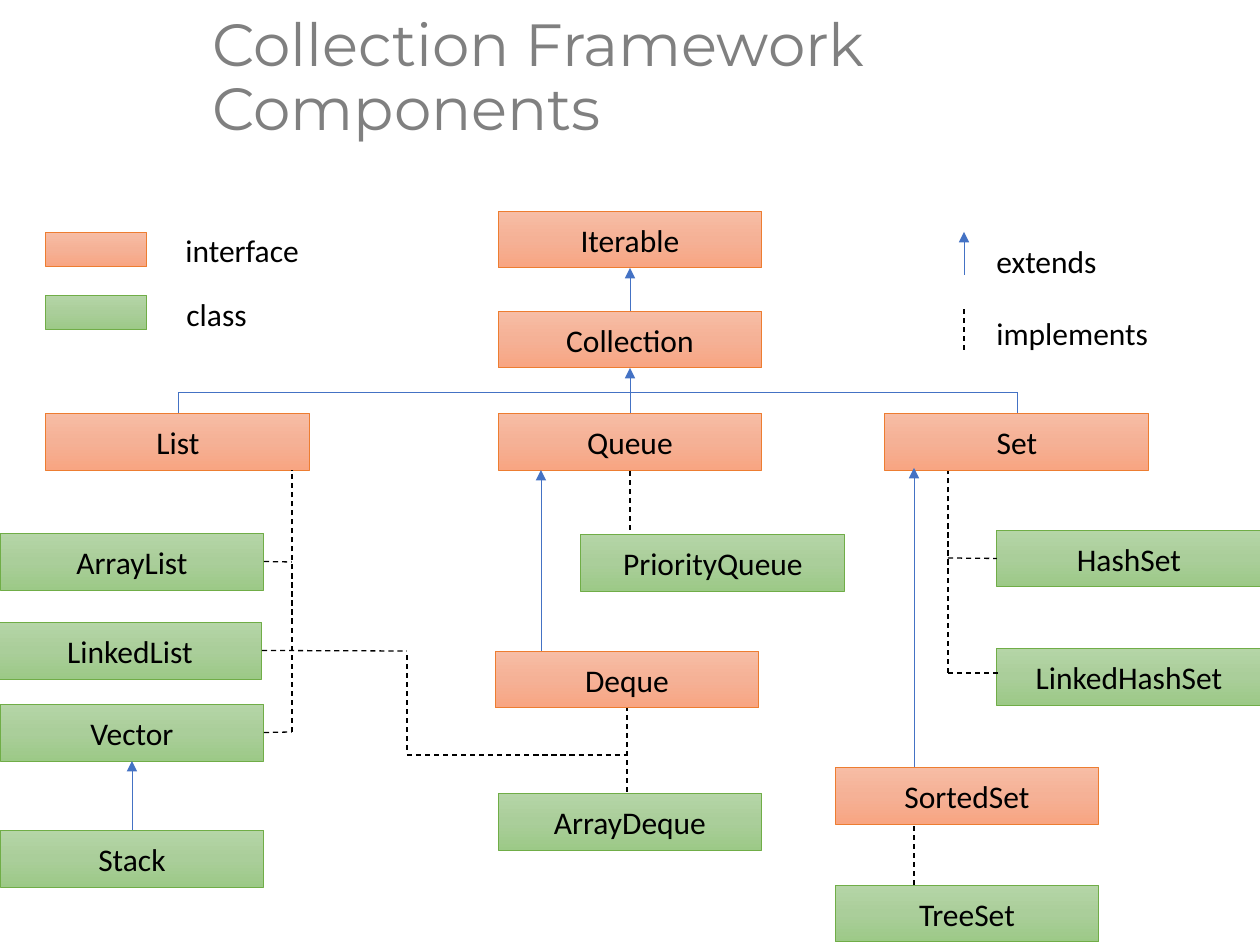
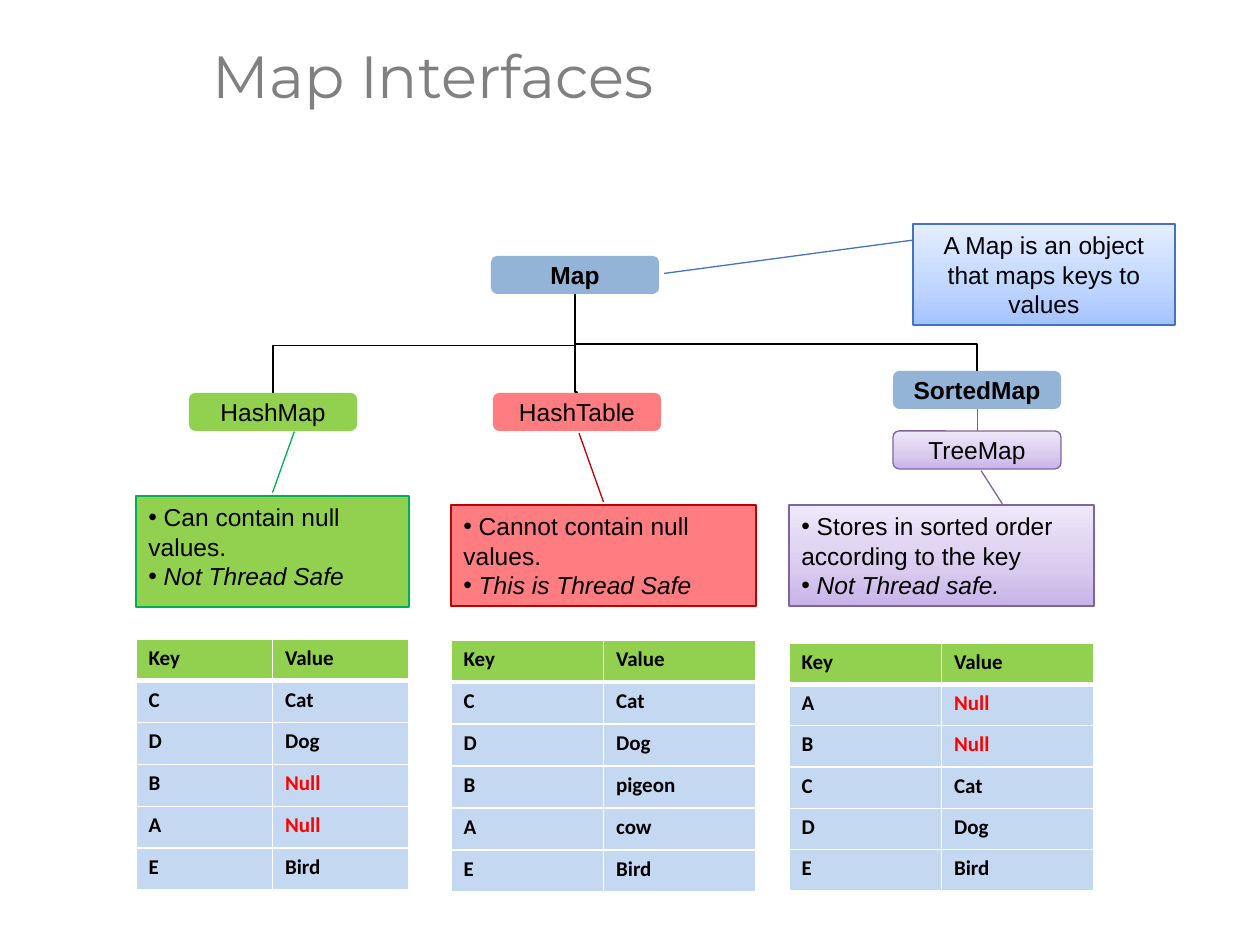
from copy import deepcopy

from lxml import etree
from pptx import Presentation
from pptx.dml.color import RGBColor
from pptx.enum.dml import MSO_LINE
from pptx.enum.shapes import MSO_CONNECTOR, MSO_SHAPE
from pptx.enum.text import MSO_ANCHOR, PP_ALIGN
from pptx.oxml.ns import qn
from pptx.util import Emu, Pt

EMU_PER_PX = 914400 / 126
SLIDE_SIZE = (1260, 945)

RECTANGLE = MSO_SHAPE.RECTANGLE
ROUNDED = MSO_SHAPE.ROUNDED_RECTANGLE
CALLOUT = MSO_SHAPE.LINE_CALLOUT_1
STRAIGHT, ELBOW = MSO_CONNECTOR.STRAIGHT, MSO_CONNECTOR.ELBOW
LEFT, CENTER = PP_ALIGN.LEFT, PP_ALIGN.CENTER
TOP_ANCHOR, MIDDLE = MSO_ANCHOR.TOP, MSO_ANCHOR.MIDDLE
DASH = MSO_LINE.DASH
TOP_SIDE, LEFT_SIDE, BOTTOM_SIDE, RIGHT_SIDE = range(4)

BLACK = RGBColor(0x00, 0x00, 0x00)
WHITE = RGBColor(0xFF, 0xFF, 0xFF)
RED = RGBColor(0xFF, 0x00, 0x00)
TITLE_GRAY = RGBColor(0x80, 0x80, 0x80)
ARROW_BLUE = RGBColor(0x44, 0x72, 0xC4)
ORANGE = RGBColor(0xED, 0x7D, 0x31)
GREEN = RGBColor(0x70, 0xAD, 0x47)
PURPLE = RGBColor(0x80, 0x64, 0xA2)
MAP_BLUE = RGBColor(0x93, 0xB3, 0xD7)
LIME = RGBColor(0x92, 0xD0, 0x50)
LIME_EDGE = RGBColor(0x00, 0xB0, 0x50)
CORAL = RGBColor(0xFF, 0x7C, 0x80)
CORAL_EDGE = RGBColor(0xC0, 0x00, 0x00)
CELL_BLUE = RGBColor(0xC5, 0xD8, 0xF1)


def gradient(angle, middle, *colors):
    return angle, [(position, RGBColor.from_string(color))
                   for position, color in zip((0, middle, 1), colors)]


ORANGE_FADE = gradient(270, 0.5, "F7BDA5", "F5B196", "F8A582")
GREEN_FADE = gradient(270, 0.5, "B5D5A7", "AACE9A", "9CC987")
PURPLE_FADE = gradient(90, 0.35, "C8B3E9", "D9CAEE", "EFE8FA")
BLUE_FADE = gradient(90, 0.35, "A3C2FF", "BDD5FF", "E5EEFF")
INTERFACE = (ORANGE_FADE, ORANGE, 0.5)
CLASS = (GREEN_FADE, GREEN, 0.5)


def px(value):
    return Emu(round(value * EMU_PER_PX))


def side_point(shape, side):
    across, down = ((0.5, 0), (0, 0.5), (0.5, 1), (1, 0.5))[side]
    return (Emu(round(shape.left + across * shape.width)),
            Emu(round(shape.top + down * shape.height)))


class Deck:
    def __init__(self):
        self.presentation = Presentation()
        self.presentation.slide_width = px(SLIDE_SIZE[0])
        self.presentation.slide_height = px(SLIDE_SIZE[1])
        self.slide = None

    def new_slide(self, title):
        layout = self.presentation.slide_layouts[6]
        self.slide = self.presentation.slides.add_slide(layout)
        paragraph = self.text(200, 1, 1060, 156, title, 34, "Montserrat", TITLE_GRAY)
        paragraph.line_spacing = 0.9

    def run(self, paragraph, text, size, font, color=BLACK, bold=False, italic=False):
        run = paragraph.add_run()
        run.text = text
        run.font.size = Pt(size)
        run.font.name = font
        run.font.color.rgb = color
        run.font.bold = bold
        run.font.italic = italic

    def text(self, x, y, width, height, text, size=18, font="Calibri", color=BLACK):
        shape = self.slide.shapes.add_textbox(px(x), px(y), px(width), px(height))
        frame = shape.text_frame
        frame.word_wrap = True
        frame.vertical_anchor = MIDDLE
        self.run(frame.paragraphs[0], text, size, font, color)
        return frame.paragraphs[0]

    def paint(self, shape, fill):
        if isinstance(fill, RGBColor):
            shape.fill.solid()
            shape.fill.fore_color.rgb = fill
            return
        angle, stops = fill
        shape.fill.gradient()
        shape.fill.gradient_angle = angle
        stop_list = shape._element.spPr.find(".//" + qn("a:gsLst"))
        stop_list.insert(1, deepcopy(stop_list[0]))
        for stop, (position, color) in zip(shape.fill.gradient_stops, stops):
            stop.position = position
            stop.color.rgb = color

    def shape(self, kind, x, y, width, height, style):
        fill, line_color, line_width = style
        shape = self.slide.shapes.add_shape(kind, px(x), px(y), px(width), px(height))
        shape.shadow.inherit = False
        self.paint(shape, fill)
        if line_color is None:
            shape.line.fill.background()
        else:
            shape.line.color.rgb = line_color
            shape.line.width = Pt(line_width)
        shape.text_frame.word_wrap = True
        return shape

    def label(self, shape, text, size, font, bold=False, anchor=MIDDLE):
        shape.text_frame.vertical_anchor = anchor
        paragraph = shape.text_frame.paragraphs[0]
        paragraph.alignment = CENTER
        self.run(paragraph, text, size, font, bold=bold)
        return shape

    def type_box(self, name, x, y, style):
        return self.label(self.shape(RECTANGLE, x, y, 264, 57, style), name, 18, "Calibri")

    def map_box(self, name, x, y, fill, line_color=None, bold=False):
        shape = self.shape(ROUNDED, x, y, 168, 38, (fill, line_color, 0.75))
        return self.label(shape, name, 14, "Arial", bold)

    def callout(self, x, y, width, height, fill, line_color, pointer):
        shape = self.shape(CALLOUT, x, y, width, height, (fill, line_color, 0.75))
        for index, value in enumerate(pointer):
            shape.adjustments[index] = value
        return shape

    def bullets(self, shape, fact, safety):
        frame = shape.text_frame
        frame.vertical_anchor = TOP_ANCHOR
        for paragraph, text in ((frame.paragraphs[0], fact), (frame.add_paragraph(), safety)):
            paragraph.alignment = LEFT
            properties = paragraph._p.get_or_add_pPr()
            etree.SubElement(properties, qn("a:buFont"), typeface="Arial")
            etree.SubElement(properties, qn("a:buChar"), char="•")
            self.run(paragraph, " " + text, 14, "Arial", italic=text == safety)

    def connector(self, kind, start, end, color, width):
        ends = []
        for first, second in (start, end):
            joined = not isinstance(first, int)
            ends.extend(side_point(first, second) if joined else (px(first), px(second)))
        connector = self.slide.shapes.add_connector(kind, *ends)
        for (first, second), connect in ((start, connector.begin_connect),
                                         (end, connector.end_connect)):
            if not isinstance(first, int):
                connect(first, second)
        connector.line.color.rgb = color
        connector.line.width = Pt(width)
        etree.SubElement(connector._element.spPr, qn("a:effectLst"))
        return connector

    def extends(self, start, end, arrow=True):
        connector = self.connector(STRAIGHT, start, end, ARROW_BLUE, 0.5)
        if arrow:
            line = connector._element.spPr.find(qn("a:ln"))
            etree.SubElement(line, qn("a:tailEnd"), type="triangle")

    def implements(self, start, end):
        self.connector(STRAIGHT, start, end, BLACK, 0.75).line.dash_style = DASH

    def branch(self, parent, child, bend):
        connector = self.connector(ELBOW, (parent, BOTTOM_SIDE), (child, TOP_SIDE), BLACK, 0.75)
        start_x, start_y = side_point(parent, BOTTOM_SIDE)
        end_x, end_y = side_point(child, TOP_SIDE)
        run_length, drop = abs(end_x - start_x), end_y - start_y
        connector.left = Emu((start_x + end_x - drop) // 2)
        connector.top = Emu((start_y + end_y - run_length) // 2)
        connector.width, connector.height = Emu(drop), Emu(run_length)
        properties = connector._element.spPr
        transform = properties.find(qn("a:xfrm"))
        to_right = end_x > start_x
        transform.set("rot", "16200000" if to_right else "5400000")
        transform.set("flipH", "1" if to_right else "0")
        transform.set("flipV", "0")
        guides = properties.find(qn("a:prstGeom")).get_or_add_avLst()
        etree.SubElement(guides, qn("a:gd"), name="adj1", fmla=f"val {round(bend * 100000)}")

    def border(self, cell, side, width):
        line = etree.SubElement(cell._tc.get_or_add_tcPr(), qn(f"a:ln{side}"), w=str(Pt(width)))
        fill = etree.SubElement(line, qn("a:solidFill"))
        etree.SubElement(fill, qn("a:srgbClr"), val=str(WHITE))

    def table(self, x, y, width, height, entries):
        rows = [("Key", "Value"), *entries]
        frame = self.slide.shapes.add_table(len(rows), 2, px(x), px(y), px(width), px(height))
        table = frame.table
        table.horz_banding = False
        for row_index, row in enumerate(rows):
            table.rows[row_index].height = px(height / len(rows))
            for column_index, text in enumerate(row):
                cell = table.cell(row_index, column_index)
                for side in "LRTB":
                    thick = (row_index, side) in ((0, "B"), (1, "T"))
                    self.border(cell, side, 3 if thick else 1)
                cell.fill.solid()
                cell.fill.fore_color.rgb = CELL_BLUE if row_index else LIME
                color = RED if text == "Null" else BLACK
                self.run(cell.text_frame.paragraphs[0], text, 12, "Calibri", color, bold=True)


def build_collections(deck):
    deck.new_slide("Collection Framework Components")
    positions = {
        INTERFACE_NAME: {
            "Iterable": (498, 211), "Collection": (498, 311), "List": (46, 413),
            "Queue": (498, 413), "Set": (885, 413), "Deque": (495, 651),
            "SortedSet": (835, 767)},
        CLASS_NAME: {
            "ArrayList": (0, 533), "LinkedList": (-2, 622), "Vector": (0, 704),
            "Stack": (0, 830), "PriorityQueue": (581, 534), "ArrayDeque": (498, 793),
            "HashSet": (997, 530), "LinkedHashSet": (997, 648), "TreeSet": (835, 885)},
    }
    styles = {INTERFACE_NAME: INTERFACE, CLASS_NAME: CLASS}
    box = {name: deck.type_box(name, x, y, styles[kind])
           for kind, places in positions.items() for name, (x, y) in places.items()}

    for child, parent in (("Collection", "Iterable"), ("Queue", "Collection"),
                          ("Stack", "Vector")):
        deck.extends((box[child], TOP_SIDE), (box[parent], BOTTOM_SIDE))
    for name, x in (("List", 178), ("Set", 1017)):
        deck.extends((box[name], TOP_SIDE), (x, 392), arrow=False)
    deck.extends((178, 392), (1017, 392), arrow=False)
    deck.extends((541, 651), (541, 470))
    deck.extends((914, 767), (914, 468))

    for name, end in (("ArrayList", (292, 562)), ("LinkedList", (407, 651)),
                      ("Vector", (292, 732))):
        deck.implements((box[name], RIGHT_SIDE), end)
    deck.implements((630, 530), (box["Queue"], BOTTOM_SIDE))
    deck.implements((627, 792), (box["Deque"], BOTTOM_SIDE))
    deck.implements((948, 558), (box["HashSet"], LEFT_SIDE))
    for start, end in (((292, 732), (292, 470)), ((407, 750), (407, 652)),
                       ((407, 755), (627, 755)), ((914, 885), (914, 826)),
                       ((948, 673), (948, 471)), ((948, 673), (999, 673))):
        deck.implements(start, end)

    for y, style in ((232, INTERFACE), (295, CLASS)):
        deck.shape(RECTANGLE, 46, y, 101, 35, style)
    deck.extends((964, 275), (964, 232))
    deck.implements((964, 350), (964, 307))
    for x, y, text in ((173, 232, INTERFACE_NAME), (174, 296, CLASS_NAME),
                       (984, 243, "extends"), (984, 315, "implements")):
        deck.text(x, y, 208, 35, text)


INTERFACE_NAME, CLASS_NAME = "interface", "class"


def build_maps(deck):
    deck.new_slide("Map Interfaces")
    map_box = deck.map_box("Map", 491, 256, MAP_BLUE, bold=True)
    hash_map = deck.map_box("HashMap", 189, 393, LIME)
    hash_table = deck.map_box("HashTable", 493, 393, CORAL)
    tree_map = deck.map_box("TreeMap", 893, 431, PURPLE_FADE, PURPLE)
    sorted_map = deck.map_box("SortedMap", 893, 371, MAP_BLUE, bold=True)
    for child, bend in ((hash_map, 0.52), (hash_table, 0.99), (sorted_map, 0.65)):
        deck.branch(map_box, child, bend)
    deck.extends((tree_map, TOP_SIDE), (sorted_map, BOTTOM_SIDE), arrow=False)

    definition = deck.callout(913, 224, 262, 101, BLUE_FADE, ARROW_BLUE, (0.16, 0, 0.49, -0.95))
    deck.label(definition, "A Map is an object that maps keys to values", 14, "Arial",
               anchor=TOP_ANCHOR)
    details = (
        ((136, 496, 273, 111), LIME, LIME_EDGE, (-0.03, 0.5, -0.58, 0.58),
         "Can contain null values.", "Not Thread Safe"),
        ((451, 505, 305, 101), CORAL, CORAL_EDGE, (-0.03, 0.5, -0.71, 0.42),
         "Cannot contain null values.", "This is Thread Safe"),
        ((789, 505, 305, 101), PURPLE_FADE, PURPLE, (-0.01, 0.7, -0.34, 0.63),
         "Stores in sorted order according to the key", "Not Thread safe."),
    )
    for place, fill, line_color, pointer, fact, safety in details:
        deck.bullets(deck.callout(*place, fill, line_color, pointer), fact, safety)

    tables = (
        ((136, 639, 273, 251), "CDBAE", ("Cat", "Dog", "Null", "Null", "Bird")),
        ((451, 640, 305, 252), "CDBAE", ("Cat", "Dog", "pigeon", "cow", "Bird")),
        ((789, 643, 305, 248), "ABCDE", ("Null", "Null", "Cat", "Dog", "Bird")),
    )
    for place, keys, values in tables:
        deck.table(*place, zip(keys, values))


def main():
    deck = Deck()
    build_collections(deck)
    build_maps(deck)
    deck.presentation.save("out.pptx")


if __name__ == "__main__":
    main()
